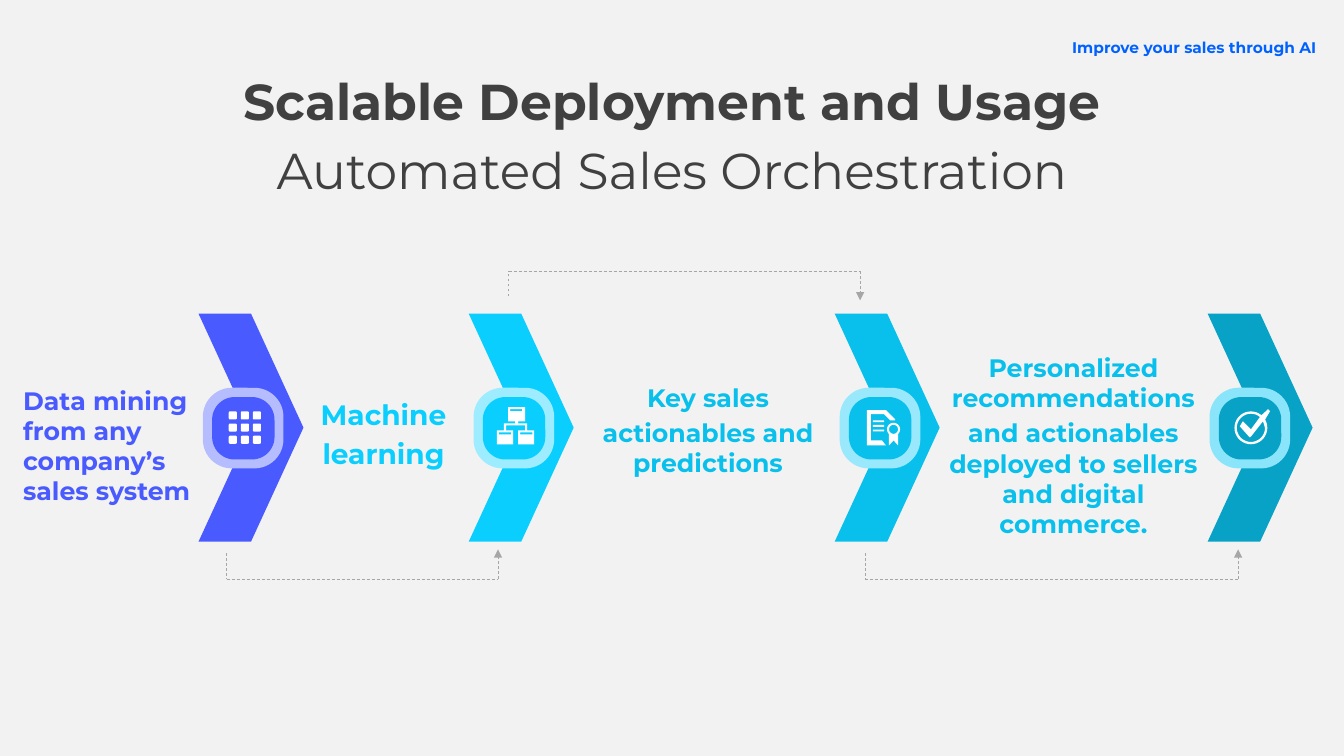
from math import cos, radians, sin

from pptx import Presentation
from pptx.dml.color import RGBColor
from pptx.enum.dml import MSO_LINE
from pptx.enum.shapes import MSO_CONNECTOR, MSO_SHAPE
from pptx.enum.text import MSO_ANCHOR, PP_ALIGN
from pptx.oxml.ns import qn
from pptx.util import Pt
from lxml.etree import SubElement

BACKGROUND = RGBColor(0xF2, 0xF2, 0xF2)
WHITE = RGBColor(0xFF, 0xFF, 0xFF)
DARK = RGBColor(0x40, 0x40, 0x40)
GREY = RGBColor(0xA6, 0xA6, 0xA6)
LINK_BLUE = RGBColor(0x00, 0x61, 0xFF)
INDIGO = RGBColor(0x49, 0x5A, 0xFF)
CYAN = RGBColor(0x0A, 0xCF, 0xFE)
SKY = RGBColor(0x09, 0xC0, 0xEC)
TEAL = RGBColor(0x08, 0xA2, 0xC6)
INDIGO_PALE = RGBColor(0xB6, 0xBD, 0xFF)
CYAN_PALE = RGBColor(0x9D, 0xEC, 0xFF)
SKY_PALE = RGBColor(0x99, 0xE8, 0xFB)
TEAL_PALE = RGBColor(0x8A, 0xE5, 0xFA)

prs = Presentation()
prs.slide_width, prs.slide_height = Pt(960), Pt(540)
s = prs.slides.add_slide(prs.slide_layouts[6])
s.background.fill.solid()
s.background.fill.fore_color.rgb = BACKGROUND


def add_text(lines, x, y, w, h, size, color, align=PP_ALIGN.CENTER, bold=(True, True),
             spacing=1.0, before=0, inset=True, anchor=MSO_ANCHOR.TOP, wrap=True):
    tf = s.shapes.add_textbox(Pt(x), Pt(y), Pt(w), Pt(h)).text_frame
    tf.word_wrap = wrap
    tf.vertical_anchor = anchor
    if not inset:
        tf.margin_left = tf.margin_right = tf.margin_top = tf.margin_bottom = 0
    for i, line in enumerate(lines):
        p = tf.paragraphs[0] if i == 0 else tf.add_paragraph()
        p.alignment = align
        p.line_spacing = spacing
        if i:
            p.space_before = Pt(before)
        r = p.add_run()
        r.text = line
        r.font.name, r.font.size, r.font.bold = "Montserrat", Pt(size), bold[i]
        r.font.color.rgb = color


def add_outline(x, y, contours):
    """Draw white contours whose points lie on a grid of 0.72 pt from x, y."""
    points = [[(Pt(x + 0.72 * px), Pt(y + 0.72 * py)) for px, py in c] for c in contours]
    builder = s.shapes.build_freeform(*points[0][0], scale=1.0)
    builder.add_line_segments(points[0][1:], close=True)
    for hole in points[1:]:
        builder.move_to(*hole[0])
        builder.add_line_segments(hole[1:], close=True)
    sp = builder.convert_to_shape()
    sp.shadow.inherit = False
    sp.fill.solid()
    sp.fill.fore_color.rgb = WHITE
    sp.line.fill.background()


# Header
add_text(["Improve your sales through AI"], 681.8, 21, 265.7, 21.6, 11, LINK_BLUE,
         align=PP_ALIGN.RIGHT, spacing=1.2)
add_text(["Scalable Deployment and Usage", "Automated Sales Orchestration"],
         81, 51.8, 797.8, 95.8, 36, DARK, bold=(True, False), spacing=0.9, before=10)

# Chevrons with badges: chevron x, badge x, color, pale color
stages = [(141.8, 144.9, INDIGO, INDIGO_PALE), (334.8, 338.3, CYAN, CYAN_PALE),
          (596.2, 599.8, SKY, SKY_PALE), (862.6, 864, TEAL, TEAL_PALE)]
for chevron_x, badge_x, color, pale in stages:
    for kind, x, y, w, h, fill in [
            (MSO_SHAPE.CHEVRON, chevron_x, 224, 75, 163, color),
            (MSO_SHAPE.ROUNDED_RECTANGLE, badge_x, 277, 57.6, 57.6, pale),
            (MSO_SHAPE.ROUNDED_RECTANGLE, badge_x + 6.6, 283.6, 44.6, 44.6, color)]:
        sp = s.shapes.add_shape(kind, Pt(x), Pt(y), Pt(w), Pt(h))
        sp.shadow.inherit = False
        sp.fill.solid()
        sp.fill.fore_color.rgb = fill
        sp.line.fill.background()
        if kind == MSO_SHAPE.ROUNDED_RECTANGLE:
            sp.adjustments[0] = 0.36

# Stage texts
add_text(["Data mining from any company’s sales system"], 9.4, 271.4, 134.6, 94.3, 18,
         INDIGO, align=PP_ALIGN.LEFT)
add_text(["Machine", "learning"], 228.6, 283, 90.7, 53.3, 20, CYAN, before=4,
         inset=False, anchor=MSO_ANCHOR.MIDDLE, wrap=False)
add_text(["Key sales", "actionables and predictions"], 408.2, 272.2, 195.1, 69.8, 18, SKY,
         before=3.6, inset=False, anchor=MSO_ANCHOR.MIDDLE)
add_text(["Personalized recommendations",
          "and actionables deployed to sellers and digital commerce."],
         662.7, 261.2, 208.1, 113.8, 18, SKY, before=3.6, inset=False,
         anchor=MSO_ANCHOR.MIDDLE)

# Dashed brackets: start x, end x, bar y, start tip y, arrow tip y
for x1, x2, bar, start, tip in [(162, 355.7, 413.6, 395.3, 392.4),
                                (363.4, 614.4, 193.6, 211.7, 214.6),
                                (618.2, 884.4, 413.6, 395.3, 392.4)]:
    for ax, ay, bx, by in [(x1, start, x1, bar), (x1, bar, x2, bar), (x2, bar, x2, tip)]:
        line = s.shapes.add_connector(MSO_CONNECTOR.STRAIGHT, Pt(ax), Pt(ay), Pt(bx), Pt(by))
        line.line.color.rgb = GREY
        line.line.width = Pt(0.5)
        line.line.dash_style = MSO_LINE.DASH
        if by == tip:
            SubElement(line.line._get_or_add_ln(), qn("a:tailEnd"), type="triangle")
        SubElement(line._element.spPr, qn("a:effectLst"))

# White bars: nine grid tiles, then three text lines of the certificate
tiles = [(MSO_SHAPE.ROUNDED_RECTANGLE, 163.4 + 8.6 * col, 293.8 + 8.7 * row, 5.8, 5.8)
         for row in range(3) for col in range(3)]
rules = [(MSO_SHAPE.RECTANGLE, 623.5, 300.2 + 3.3 * i, 8, 1.4) for i in range(3)]
for kind, x, y, w, h in tiles + rules:
    sp = s.shapes.add_shape(kind, Pt(x), Pt(y), Pt(w), Pt(h))
    sp.shadow.inherit = False
    sp.fill.solid()
    sp.fill.fore_color.rgb = WHITE
    sp.line.fill.background()

# Hierarchy icon
windows = [[(x, y), (x + 12, y), (x + 12, y + 2), (x, y + 2)]
           for x, y in [(2, 25), (13, 2), (23, 25)]]
add_outline(355, 290.9, [[
    (30, 23), (30, 16), (21, 16), (21, 14), (28, 14), (28, 0), (11, 0), (11, 14),
    (18, 14), (18, 16), (7, 16), (7, 23), (0, 23), (0, 37), (16, 37), (16, 23),
    (9, 23), (9, 18), (28, 18), (28, 23), (21, 23), (21, 37), (37, 37), (37, 23)]] + windows)

# Certificate icon: page, then ribbon
add_outline(619.2, 293, [[
    (15, 30), (4, 30), (4, 4), (17, 4), (23, 10), (28, 10), (28, 9), (19, 0), (0, 0),
    (0, 35), (19, 35)]])
seal = [(26.5 + 6.5 * cos(radians(a)), 19 + 6.5 * sin(radians(a)))
        for a in range(135, 406, 15)]
seal_hole = [(26.5 + 4.5 * cos(radians(a)), 19 + 4.5 * sin(radians(a)))
             for a in range(0, 360, 15)]
add_outline(619.2, 293, [seal + [(31, 35), (26.5, 30), (22, 35)], seal_hole])

# Check mark icon
rim = [(16 + 16.3 * cos(radians(a)), 18.5 + 16.3 * sin(radians(a)))
       for a in range(-50, -391, -10)]
inside = [(16 + 14 * cos(radians(a)), 18.5 + 14 * sin(radians(a)))
          for a in range(0, 315, 10)]
add_outline(882, 292.3, [
    [(35, 2), (33, 0)] + rim,
    inside + [(16, 20), (8, 12), (5, 17), (13, 26), (15, 28), (17, 26), (28, 12)]])

prs.save("out.pptx")
